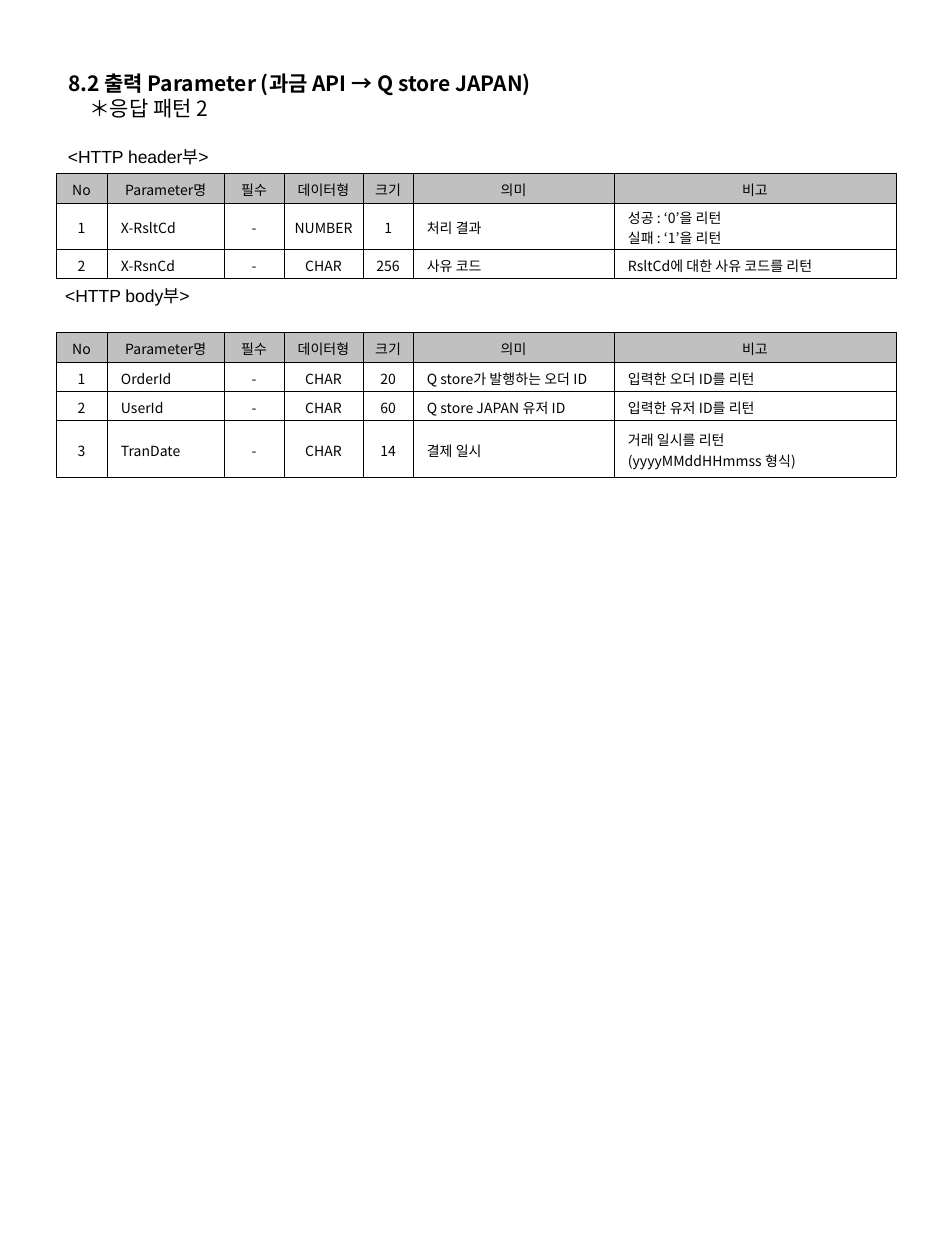
from dataclasses import dataclass

from lxml import etree
from pptx import Presentation
from pptx.dml.color import RGBColor
from pptx.enum.text import MSO_ANCHOR, MSO_AUTO_SIZE, PP_ALIGN
from pptx.oxml.ns import qn
from pptx.util import Pt

CENTER, LEFT = PP_ALIGN.CENTER, PP_ALIGN.LEFT
TOP, MIDDLE = MSO_ANCHOR.TOP, MSO_ANCHOR.MIDDLE
NO_AUTOSIZE = MSO_AUTO_SIZE.NONE
TITLE_ONLY = 5


@dataclass(frozen=True)
class Theme:
    ink: str = "000000"
    header: str = "C0C0C0"
    body_font: str = "Noto Sans CJK KR"
    caption_font: str = "Arial"
    title_size: float = 12
    caption_size: float = 10
    cell_size: float = 8
    border: float = 0.23


@dataclass(frozen=True)
class Caption:
    text: str
    left: float
    top: float
    width: float


@dataclass(frozen=True)
class ParameterTable:
    top: float
    heights: tuple[float, ...]
    rows: tuple[tuple[str, ...], ...]


THEME = Theme()
TABLE_LEFT = 32
COLUMN_WIDTHS = (29.2, 67, 34.1, 45.3, 28.5, 114.9, 161)
LEFT_COLUMNS = (1, 5, 6)
HEADINGS = ("No", "Parameter명", "필수", "데이터형", "크기", "의미", "비고")
TITLE_LINES = ("8.2 출력 Parameter (과금 API → Q store JAPAN)", "　＊응답 패턴 2")
CAPTIONS = (
    Caption("<HTTP header부>", 31.7, 80, 99.4),
    Caption("<HTTP body부>", 30.2, 159.4, 90),
)
TABLES = (
    ParameterTable(99, (17.2, 26.3, 16.6), (
        ("1", "X-RsltCd", "-", "NUMBER", "1", "처리 결과",
         "성공 : ‘0’을 리턴\n실패 : ‘1’을 리턴"),
        ("2", "X-RsnCd", "-", "CHAR", "256", "사유 코드",
         "RsltCd에 대한 사유 코드를 리턴"),
    )),
    ParameterTable(189.8, (17.2, 16.6, 16.6, 32.5), (
        ("1", "OrderId", "-", "CHAR", "20", "Q store가 발행하는 오더 ID",
         "입력한 오더 ID를 리턴"),
        ("2", "UserId", "-", "CHAR", "60", "Q store JAPAN 유저 ID",
         "입력한 유저 ID를 리턴"),
        ("3", "TranDate", "-", "CHAR", "14", "결제 일시",
         "거래 일시를 리턴\v(yyyyMMddHHmmss 형식)"),
    )),
)


def apply(target, values: dict) -> None:
    for name, value in values.items():
        setattr(target, name, value)


def format_para(para, font: str, size: float, bold: bool = False,
                align=LEFT) -> None:
    para.alignment = align
    for span in para.runs:
        apply(span.font, {"name": font, "size": Pt(size), "bold": bold})
        span.font.color.rgb = RGBColor.from_string(THEME.ink)
        east_asian = etree.Element(qn("a:ea"), typeface=THEME.body_font)
        span.font._element.find(qn("a:latin")).addnext(east_asian)


def format_frame(frame, wrap: bool) -> None:
    apply(frame, {
        "word_wrap": wrap, "auto_size": NO_AUTOSIZE, "vertical_anchor": TOP,
        "margin_left": Pt(7.2), "margin_right": Pt(7.2),
        "margin_top": Pt(3.6), "margin_bottom": Pt(3.6),
    })


def draw_title(page) -> None:
    box = page.shapes.title
    apply(box, {"left": Pt(31.7), "top": Pt(36.7),
                "width": Pt(426), "height": Pt(36)})
    frame = box.text_frame
    frame.text = "\n".join(TITLE_LINES)
    format_frame(frame, True)
    for index, para in enumerate(frame.paragraphs):
        format_para(para, THEME.body_font, THEME.title_size, index == 0)


def draw_caption(page, caption: Caption) -> None:
    box = page.shapes.add_textbox(Pt(caption.left), Pt(caption.top),
                                  Pt(caption.width), Pt(19.4))
    box.text_frame.text = caption.text
    format_frame(box.text_frame, False)
    format_para(box.text_frame.paragraphs[0], THEME.caption_font,
                THEME.caption_size)


def draw_borders(cell) -> None:
    properties = cell._tc.get_or_add_tcPr()
    for index, side in enumerate(("lnL", "lnR", "lnT", "lnB")):
        line = etree.Element(qn(f"a:{side}"), w=str(Pt(THEME.border)))
        fill = etree.SubElement(line, qn("a:solidFill"))
        etree.SubElement(fill, qn("a:srgbClr"), val=THEME.ink)
        properties.insert(index, line)


def draw_cell(cell, text: str, heading: bool, align) -> None:
    cell.text_frame.text = text
    apply(cell, {
        "vertical_anchor": MIDDLE,
        "margin_left": Pt(0.7 if align == CENTER else 7.9),
        "margin_right": Pt(0.7),
        "margin_top": Pt(1.9), "margin_bottom": Pt(0.6),
    })
    for para in cell.text_frame.paragraphs:
        format_para(para, THEME.body_font, THEME.cell_size, align=align)
    if heading:
        cell.fill.solid()
        cell.fill.fore_color.rgb = RGBColor.from_string(THEME.header)
    else:
        cell.fill.background()
    draw_borders(cell)


def draw_table(page, spec: ParameterTable) -> None:
    rows = (HEADINGS, *spec.rows)
    table = page.shapes.add_table(
        len(rows), len(HEADINGS), Pt(TABLE_LEFT), Pt(spec.top),
        Pt(sum(COLUMN_WIDTHS)), Pt(sum(spec.heights))).table
    apply(table, {"first_row": False, "horz_banding": False})
    for column, width in zip(table.columns, COLUMN_WIDTHS):
        column.width = Pt(width)
    for row, height in zip(table.rows, spec.heights):
        row.height = Pt(height)
    for row_index, row in enumerate(rows):
        heading = row_index == 0
        for column_index, text in enumerate(row):
            inset = not heading and column_index in LEFT_COLUMNS
            draw_cell(table.cell(row_index, column_index), text, heading,
                      LEFT if inset else CENTER)


def main() -> None:
    deck = Presentation()
    apply(deck, {"slide_width": Pt(540), "slide_height": Pt(720)})
    page = deck.slides.add_slide(deck.slide_layouts[TITLE_ONLY])
    draw_title(page)
    for caption in CAPTIONS:
        draw_caption(page, caption)
    for spec in TABLES:
        draw_table(page, spec)
    deck.save("out.pptx")


if __name__ == "__main__":
    main()
